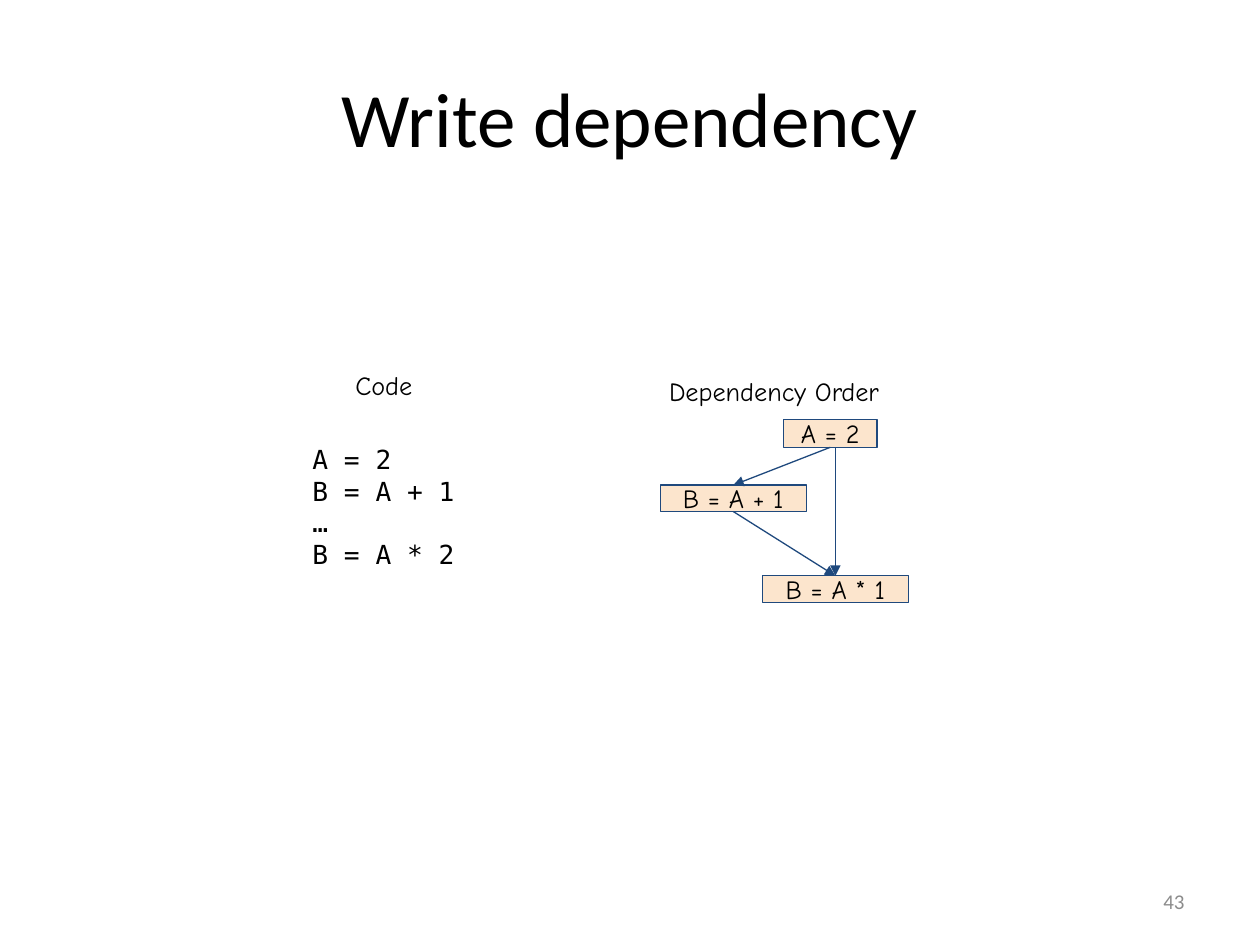
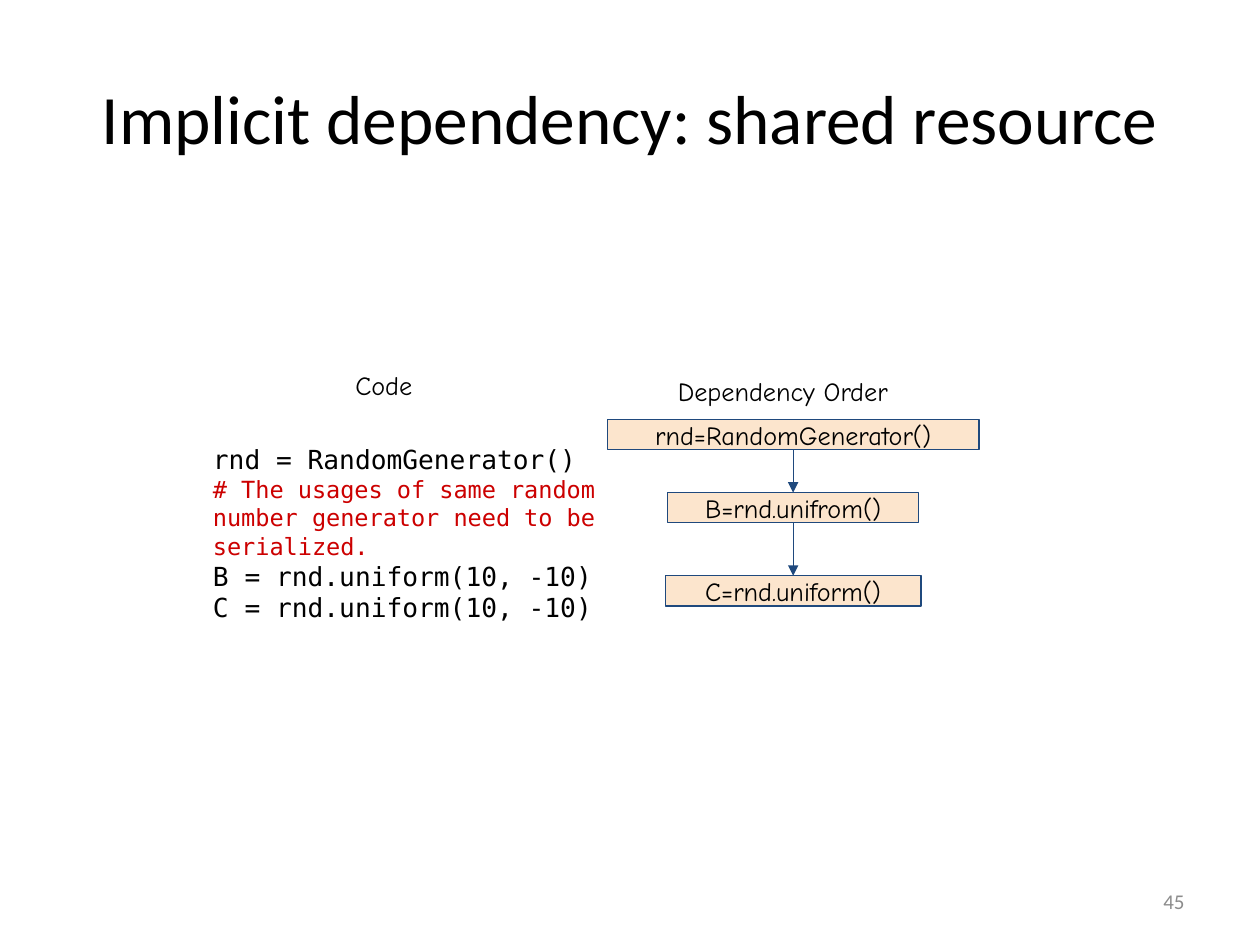
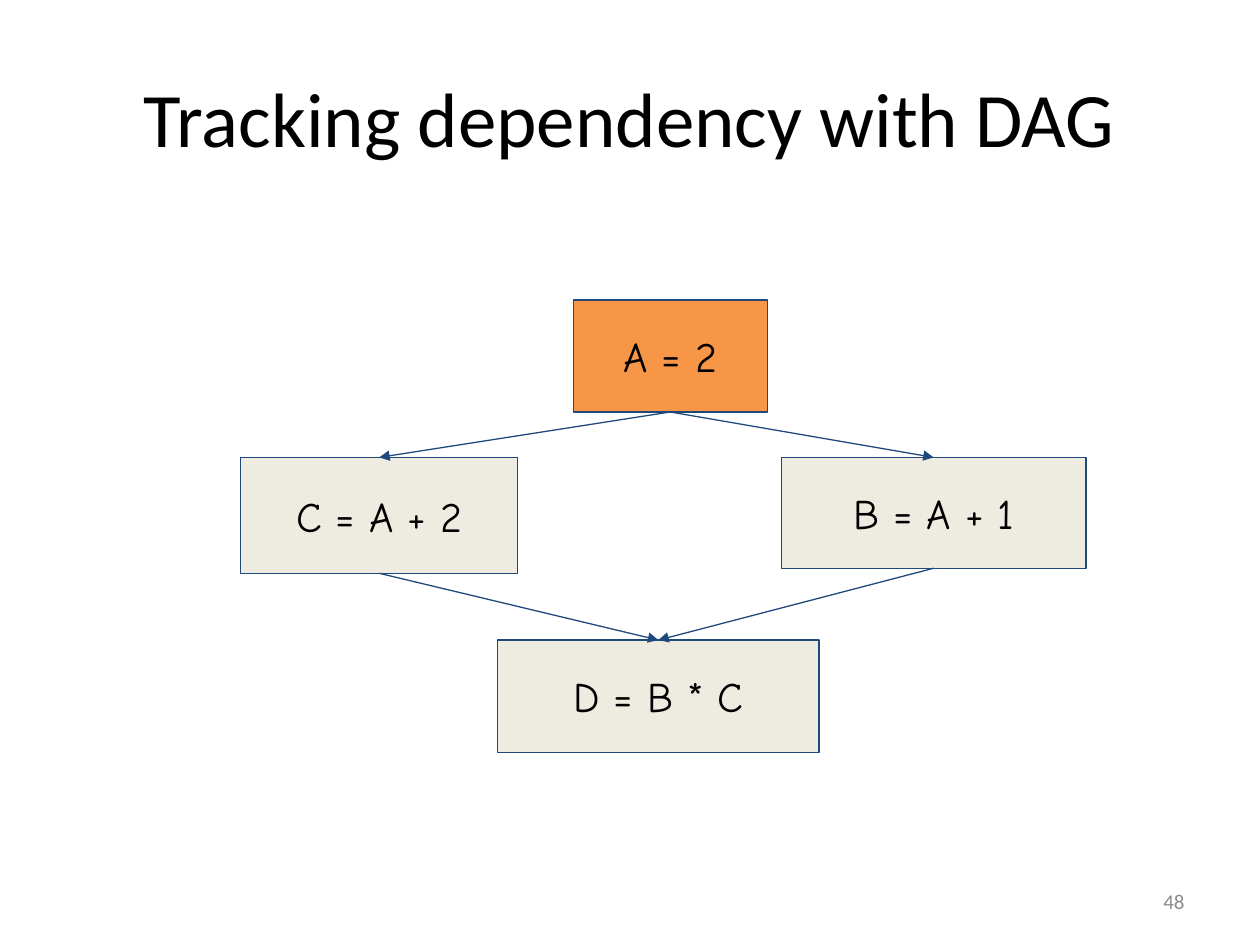
from pptx import Presentation
from pptx.dml.color import RGBColor
from pptx.enum.shapes import MSO_CONNECTOR, MSO_SHAPE
from pptx.enum.text import MSO_ANCHOR, MSO_AUTO_SIZE, PP_ALIGN
from pptx.oxml.ns import qn
from pptx.util import Inches, Pt
from lxml import etree

# Shared look
BLACK = RGBColor(0x00, 0x00, 0x00)
GREY = RGBColor(0x8C, 0x8C, 0x8C)
NAVY = RGBColor(0x1F, 0x49, 0x7D)
RED = RGBColor(0xCC, 0x00, 0x00)
PEACH = RGBColor(0xFC, 0xE5, 0xCD)
ORANGE = RGBColor(0xF7, 0x96, 0x46)
IVORY = RGBColor(0xEE, 0xEC, 0xE1)
HEADING_FONT = "Calibri"
HAND_FONT = "Comic Neue"
CODE_FONT = "DejaVu Sans Mono"
LINE_WIDTH = Pt(0.75)
INSET = 0.07

LEFT, CENTER, RIGHT = PP_ALIGN.LEFT, PP_ALIGN.CENTER, PP_ALIGN.RIGHT
TOP, MIDDLE = MSO_ANCHOR.TOP, MSO_ANCHOR.MIDDLE
NO_AUTOFIT = MSO_AUTO_SIZE.NONE
RECTANGLE = MSO_SHAPE.RECTANGLE
STRAIGHT = MSO_CONNECTOR.STRAIGHT
TOP_SIDE, BOTTOM_SIDE = 0, 2
TITLE_ONLY = 5


def write(shape, *lines, size=15, font=HAND_FONT, color=BLACK, align=LEFT,
          anchor=TOP, inset=INSET, spacing=None):
    """Fill a shape with lines; a line may be (text, size, color)."""
    frame = shape.text_frame
    frame.word_wrap = True
    frame.auto_size = NO_AUTOFIT
    frame.vertical_anchor = anchor
    frame.margin_left = frame.margin_right = Inches(inset)
    frame.margin_top = frame.margin_bottom = Inches(inset)
    for index, line in enumerate(lines):
        text, points, ink = (line, size, color) if isinstance(line, str) else line
        paragraph = frame.add_paragraph() if index else frame.paragraphs[0]
        paragraph.alignment = align
        if spacing:
            paragraph.line_spacing = spacing
        run = paragraph.add_run()
        run.text = text
        run.font.size = Pt(points)
        run.font.name = font
        run.font.color.rgb = ink


def add_label(slide, left, top, width, height, *lines, **style):
    label = slide.shapes.add_textbox(*map(Inches, (left, top, width, height)))
    write(label, *lines, **style)


def add_node(slide, left, top, width, height, text, fill=PEACH, size=15):
    node = slide.shapes.add_shape(
        RECTANGLE, *map(Inches, (left, top, width, height)))
    node.shadow.inherit = False
    node.fill.solid()
    node.fill.fore_color.rgb = fill
    node.line.color.rgb = NAVY
    node.line.width = LINE_WIDTH
    write(node, text, size=size, align=CENTER, anchor=MIDDLE)
    return node


def add_arrow(slide, source, target, start_shift=0):
    """Arrow from the bottom of source to the top of target."""
    start_x = source.left + source.width // 2 + Inches(start_shift)
    arrow = slide.shapes.add_connector(
        STRAIGHT, start_x, source.top + source.height,
        target.left + target.width // 2, target.top)
    if not start_shift:
        arrow.begin_connect(source, BOTTOM_SIDE)
    arrow.end_connect(target, TOP_SIDE)
    arrow.line.color.rgb = NAVY
    arrow.line.width = LINE_WIDTH
    etree.SubElement(arrow.line._get_or_add_ln(), qn("a:tailEnd"), type="triangle")
    etree.SubElement(arrow._element.spPr, qn("a:effectLst"))


def add_graph(slide, left, top, nodes, edges):
    """Nodes lie relative to (left, top); edges name them by key."""
    placed = {key: add_node(slide, left + x, top + y, width, height, *rest)
              for key, (x, y, width, height, *rest) in nodes.items()}
    for source, target, *shift in edges:
        add_arrow(slide, placed[source], placed[target], *shift)


def add_code_panel(slide, left, top, width, height, lines):
    add_label(slide, 2.75, top, 1.07, 0.32, "Code")
    add_label(slide, left, top + 0.59, width, height, *lines, font=CODE_FONT)


def add_order_panel(slide, left, top, heading_x, nodes, edges):
    add_label(slide, left + heading_x, top, 2.5, 0.28, "Dependency Order",
              spacing=1.2)
    add_graph(slide, left, top + 0.47, nodes, edges)


def new_slide(deck, title, number, title_size=44):
    slide = deck.slides.add_slide(deck.slide_layouts[TITLE_ONLY])
    heading = slide.shapes.title
    heading.left, heading.top = Inches(0.5), Inches(0.3)
    heading.width, heading.height = Inches(9), Inches(1.25)
    write(heading, title, size=title_size, font=HEADING_FONT, align=CENTER,
          anchor=MIDDLE)
    add_label(slide, 7.17, 6.95, 2.33, 0.4, number, size=12, font=HEADING_FONT,
              color=GREY, align=RIGHT, anchor=MIDDLE, inset=0.1)
    return slide


def write_dependency(deck):
    slide = new_slide(deck, "Write dependency", "43")
    add_code_panel(slide, 2.41, 2.86, 1.47, 0.84,
                   ["A = 2", "B = A + 1", "…", "B = A * 2"])
    nodes = {
        "A": (0.98, 0, 0.74, 0.22, "A = 2"),
        "B first": (0, 0.52, 1.16, 0.21, "B = A + 1"),
        "B second": (0.81, 1.24, 1.16, 0.21, "B = A * 1"),
    }
    add_order_panel(slide, 5.24, 2.86, 0, nodes, [
        ("A", "B first"), ("B first", "B second"), ("A", "B second", 0.04)])


def implicit_dependency(deck):
    slide = new_slide(deck, "Implicit dependency: shared resource", "45", 39.6)
    comment = ("# The usages of same random number generator need to be "
               "serialized.")
    add_code_panel(slide, 1.62, 2.86, 3.29, 2.01, [
        "rnd = RandomGenerator()", (comment, 13.5, RED),
        "B = rnd.uniform(10, -10)", "C = rnd.uniform(10, -10)"])
    nodes = {
        "rnd": (0, 0, 2.95, 0.24, "rnd=RandomGenerator()"),
        "B": (0.48, 0.58, 1.99, 0.24, "B=rnd.unifrom()"),
        "C": (0.46, 1.24, 2.03, 0.24, "C=rnd.uniform()"),
    }
    add_order_panel(slide, 4.82, 2.86, 0.49, nodes, [("rnd", "B"), ("B", "C")])


def tracking_dependency(deck):
    slide = new_slide(deck, "Tracking dependency with DAG", "48")
    nodes = {
        "A": (2.64, 0, 1.54, 0.89, "A = 2", ORANGE, 24),
        "B": (4.29, 1.25, 2.42, 0.88, "B = A + 1", IVORY, 24),
        "C": (0, 1.25, 2.2, 0.92, "C = A + 2", IVORY, 24),
        "D": (2.04, 2.7, 2.55, 0.89, "D = B * C", IVORY, 24),
    }
    add_graph(slide, 1.91, 2.38, nodes,
              [("B", "D"), ("C", "D"), ("A", "B"), ("A", "C")])


def main():
    deck = Presentation()
    deck.slide_width, deck.slide_height = Inches(10), Inches(7.5)
    write_dependency(deck)
    implicit_dependency(deck)
    tracking_dependency(deck)
    deck.save("out.pptx")


if __name__ == "__main__":
    main()
